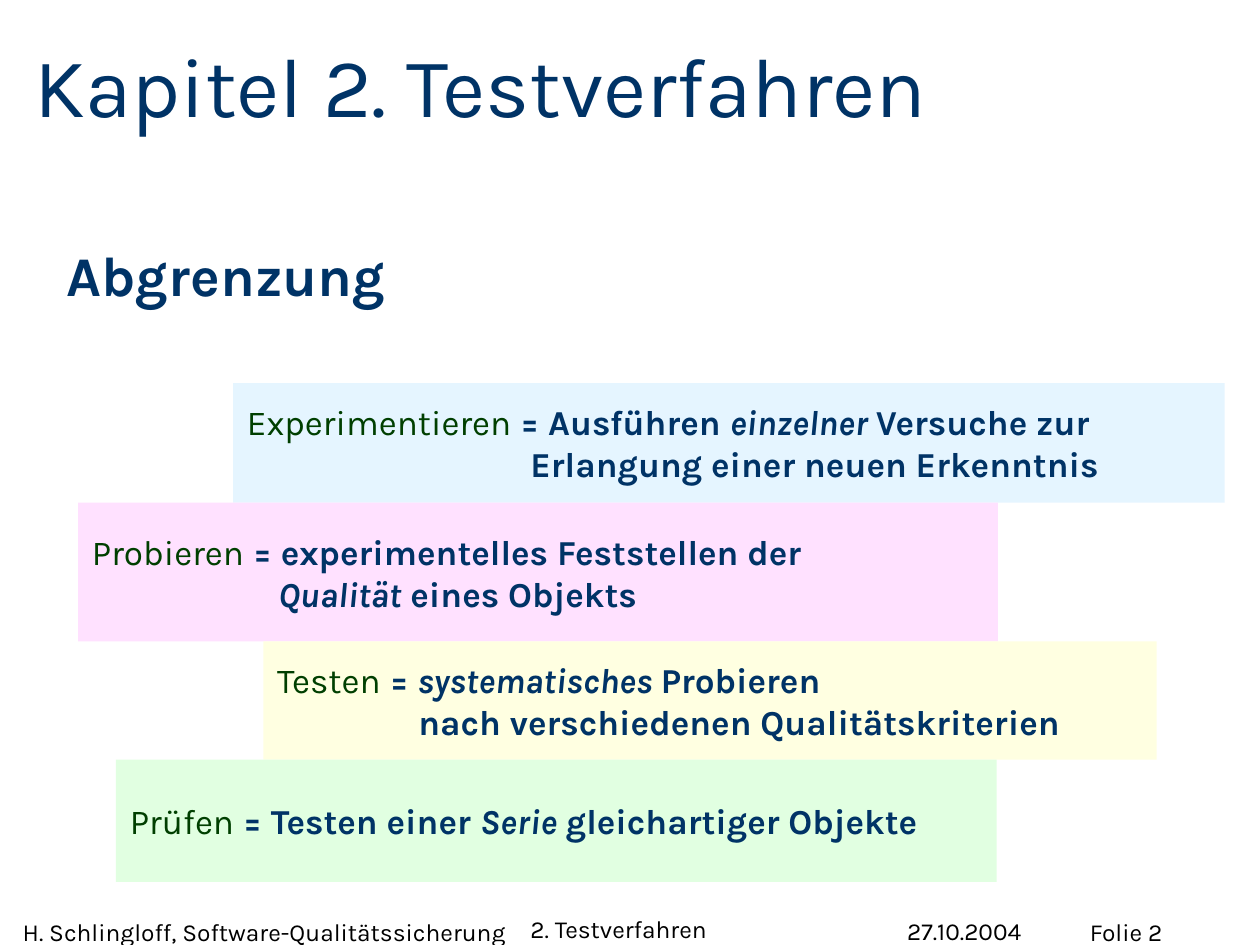
from pptx import Presentation
from pptx.dml.color import RGBColor
from pptx.enum.shapes import MSO_SHAPE
from pptx.enum.text import MSO_ANCHOR, PP_ALIGN
from pptx.util import Inches, Pt

FONT = "Karla"
NAVY = RGBColor(0x00, 0x33, 0x66)
GREEN = RGBColor(0x00, 0x3F, 0x00)
BLACK = RGBColor(0x00, 0x00, 0x00)
PALE_BLUE = RGBColor(0xE5, 0xF5, 0xFF)
PALE_PINK = RGBColor(0xFF, 0xE1, 0xFF)
PALE_YELLOW = RGBColor(0xFF, 0xFF, 0xE1)
PALE_GREEN = RGBColor(0xE1, 0xFF, 0xE1)

TITLE = "Kapitel 2. Testverfahren"
HEADING = "Abgrenzung"

# Term, definition lines of (text, italic), fill, left, width, height, hanging indent
DEFINITIONS = [
    ("Experimentieren",
     [[(" = Ausführen ", False), ("einzelner ", True), ("Versuche zur", False)],
      [("Erlangung einer neuen Erkenntnis", False)]],
     PALE_BLUE, 1.85, 7.87, 0.95, 2.25),
    ("Probieren",
     [[(" = experimentelles Feststellen der", False)],
      [("Qualität", True), (" eines Objekts", False)]],
     PALE_PINK, 0.62, 7.3, 1.1, 1.48),
    ("Testen",
     [[(" = ", False), ("systematisches ", True), ("Probieren", False)],
      [("nach verschiedenen Qualitätskriterien", False)]],
     PALE_YELLOW, 2.09, 7.09, 0.94, 1.12),
    ("Prüfen",
     [[(" = Testen einer ", False), ("Serie", True), (" gleichartiger Objekte", False)]],
     PALE_GREEN, 0.92, 6.99, 0.97, 0),
]
STACK_TOP = 3.04

# Text, left, top, width, height, anchor
FOOTER = [
    ("H. Schlingloff, Software-Qualitätssicherung", 0.18, 7.28, 3.93, 0.23, MSO_ANCHOR.TOP),
    ("2. Testverfahren", 4.21, 7.21, 2.91, 0.28, MSO_ANCHOR.BOTTOM),
    ("27.10.2004", 7.2, 7.29, 1.57, 0.21, MSO_ANCHOR.BOTTOM),
    ("Folie 2", 8.65, 7.28, 1.44, 0.27, MSO_ANCHOR.TOP),
]


def add_span(para, text, size, color, bold=False, italic=False):
    span = para.add_run()
    span.text = text
    font = span.font
    font.name, font.size, font.bold, font.italic = FONT, Pt(size), bold, italic
    font.color.rgb = color


def prepare_frame(box, anchor, side=0, edge=0, wrap=True):
    frame = box.text_frame
    frame.word_wrap = wrap
    frame.vertical_anchor = anchor
    frame.margin_left = frame.margin_right = Inches(side)
    frame.margin_top = frame.margin_bottom = Inches(edge)
    para = frame.paragraphs[0]
    para.alignment = PP_ALIGN.LEFT
    return para


def add_definition(page, term, lines, fill, left, top, width, height, indent):
    box = page.shapes.add_shape(MSO_SHAPE.RECTANGLE, Inches(left), Inches(top),
                                Inches(width), Inches(height))
    box.shadow.inherit = False
    box.fill.solid()
    box.fill.fore_color.rgb = fill
    box.line.fill.background()
    para = prepare_frame(box, MSO_ANCHOR.MIDDLE, 0.11, 0.05)
    # The hanging indent aligns the second line below the definition
    properties = para._p.get_or_add_pPr()
    properties.set("marL", str(Inches(indent)))
    properties.set("indent", str(-Inches(indent)))
    add_span(para, term, 20, GREEN)
    for number, line in enumerate(lines):
        if number:
            para.add_line_break()
        for text, italic in line:
            add_span(para, text, 20, NAVY, bold=True, italic=italic)


def main():
    deck = Presentation()
    deck.slide_width, deck.slide_height = Inches(10), Inches(7.5)
    page = deck.slides.add_slide(deck.slide_layouts[5])

    # Title
    title = page.shapes.title
    title.left, title.top = Inches(0.27), Inches(0.36)
    title.width, title.height = Inches(9.51), Inches(0.71)
    add_span(prepare_frame(title, MSO_ANCHOR.BOTTOM), TITLE, 48, NAVY)

    # Section heading
    heading = page.shapes.add_textbox(Inches(0.43), Inches(1.86), Inches(3.15), Inches(0.64))
    add_span(prepare_frame(heading, MSO_ANCHOR.TOP, 0.1, 0.05), HEADING, 32, NAVY, bold=True)

    # Definitions, stacked without gaps
    top = STACK_TOP
    for term, lines, fill, left, width, height, indent in DEFINITIONS:
        add_definition(page, term, lines, fill, left, top, width, height, indent)
        top += height

    # Footer
    for text, left, top, width, height, anchor in FOOTER:
        box = page.shapes.add_textbox(Inches(left), Inches(top), Inches(width), Inches(height))
        add_span(prepare_frame(box, anchor, wrap=False), text, 14, BLACK)

    deck.save("out.pptx")


if __name__ == "__main__":
    main()
